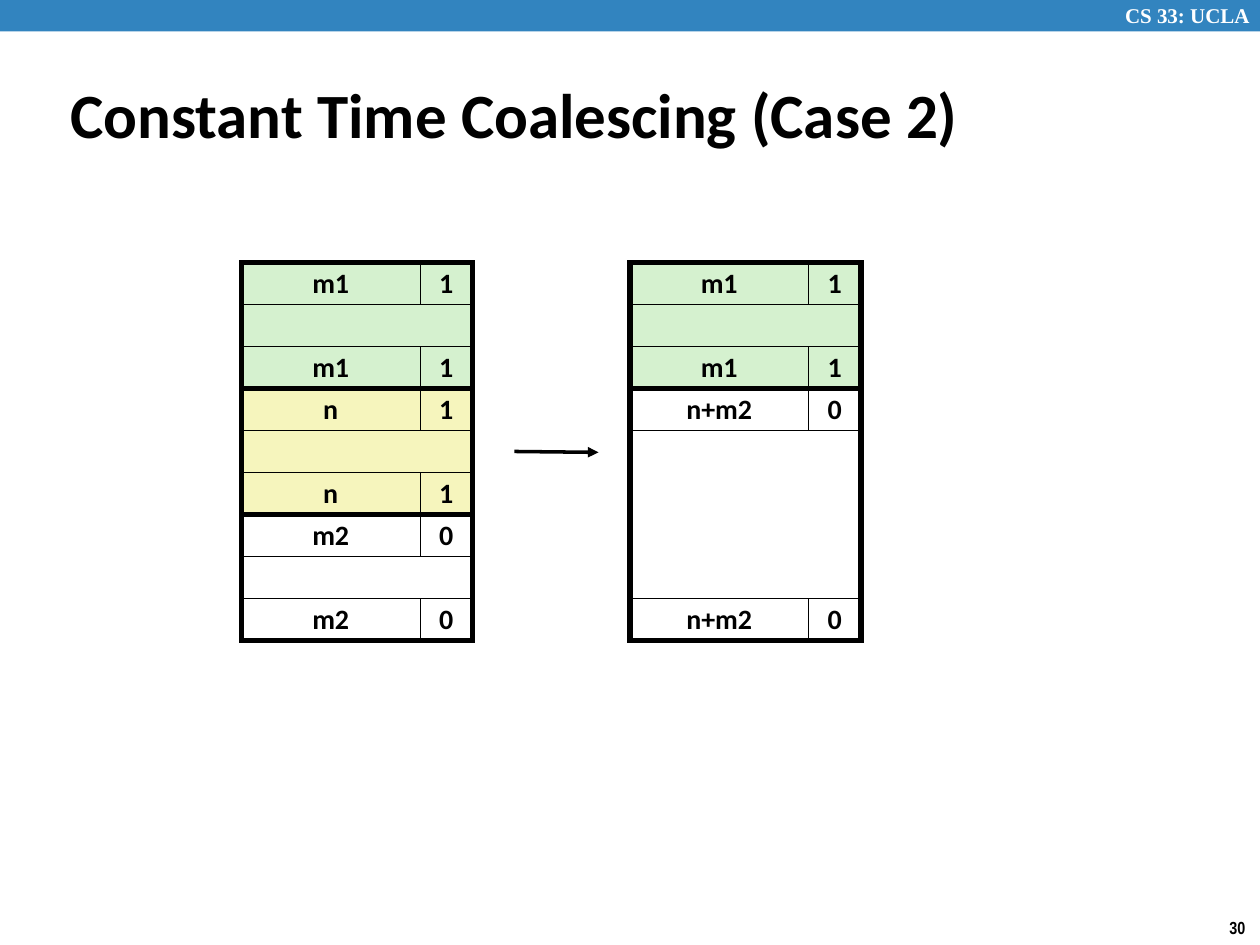
from dataclasses import dataclass

from lxml import etree
from pptx import Presentation
from pptx.dml.color import RGBColor
from pptx.enum.shapes import MSO_CONNECTOR, MSO_SHAPE
from pptx.enum.text import MSO_ANCHOR, MSO_AUTO_SIZE, PP_ALIGN
from pptx.oxml.ns import qn
from pptx.util import Pt

RECTANGLE = MSO_SHAPE.RECTANGLE
STRAIGHT = MSO_CONNECTOR.STRAIGHT
MIDDLE = MSO_ANCHOR.MIDDLE
LEFT, CENTER = PP_ALIGN.LEFT, PP_ALIGN.CENTER
NO_AUTOFIT = MSO_AUTO_SIZE.NONE


@dataclass(frozen=True)
class Theme:
    banner: RGBColor = RGBColor(0x32, 0x84, 0xBF)
    allocated: RGBColor = RGBColor(0xD5, 0xF1, 0xCF)
    freed: RGBColor = RGBColor(0xF6, 0xF5, 0xBD)
    white: RGBColor = RGBColor(0xFF, 0xFF, 0xFF)
    black: RGBColor = RGBColor(0, 0, 0)
    body_font: str = "Calibri"
    course_font: str = "Times New Roman"
    number_font: str = "Arial Narrow"
    title_size: int = 36
    cell_size: int = 16
    course_size: int = 12
    number_size: int = 10
    thin: float = 0.25
    arrow: float = 2
    thick: float = 3


theme = Theme()


def add_box(left, top, width, height, fill=None, line_width=None):
    box = slide.shapes.add_shape(RECTANGLE, Pt(left), Pt(top), Pt(width), Pt(height))
    box.shadow.inherit = False
    if fill is None:
        box.fill.background()
    else:
        box.fill.solid()
        box.fill.fore_color.rgb = fill
    if line_width is None:
        box.line.fill.background()
    else:
        box.line.color.rgb = theme.black
        box.line.width = Pt(line_width)
        etree.SubElement(box.line._get_or_add_ln(), qn("a:miter"), lim="800000")
    return box


def write(shape, text, font, size, color, align=LEFT, wrap=False):
    frame = shape.text_frame
    frame.auto_size = NO_AUTOFIT
    frame.word_wrap = wrap
    paragraph = frame.paragraphs[0]
    paragraph.alignment = align
    run = paragraph.add_run()
    run.text = text
    run.font.name = font
    run.font.size = Pt(size)
    run.font.bold = True
    run.font.color.rgb = color
    return frame


deck = Presentation()
deck.slide_width, deck.slide_height = Pt(720), Pt(540)
slide = deck.slides.add_slide(deck.slide_layouts[5])

add_box(0, 0, 720, 18, theme.banner)
course = slide.shapes.add_textbox(Pt(635.8), Pt(-2), Pt(89), Pt(22))
write(course, "CS 33: UCLA", theme.course_font, theme.course_size, theme.white, wrap=True)
page = slide.shapes.add_textbox(Pt(695.5), Pt(520.5), Pt(24.5), Pt(19.5))
write(page, "30", theme.number_font, theme.number_size, theme.black)

title = slide.shapes.title
title.left, title.top, title.width, title.height = Pt(33), Pt(42), Pt(654), Pt(45)
title_frame = write(title, "Constant Time Coalescing (Case 2)", theme.body_font,
                    theme.title_size, theme.black, wrap=True)
title_frame.vertical_anchor = MIDDLE

ROW, SIZE_WIDTH, FLAG_WIDTH, HEAP_TOP = 24, 102, 30, 150
BLOCK_WIDTH = SIZE_WIDTH + FLAG_WIDTH
heaps = [
    (138, [("m1", "1", theme.allocated, 3),
           ("n", "1", theme.freed, 3),
           ("m2", "0", theme.white, 3)]),
    (360, [("m1", "1", theme.allocated, 3),
           ("n+m2", "0", theme.white, 6)]),
]
for left, blocks in heaps:
    top = HEAP_TOP
    for size, flag, color, rows in blocks:
        height = rows * ROW
        for tag_top in (top, top + height - ROW):
            for text, x, width in ((size, left, SIZE_WIDTH),
                                   (flag, left + SIZE_WIDTH, FLAG_WIDTH)):
                cell = add_box(x, tag_top, width, ROW, color, theme.thin)
                frame = write(cell, text, theme.body_font, theme.cell_size,
                              theme.black, CENTER)
                frame.vertical_anchor = MIDDLE
                frame.paragraphs[0].line_spacing = 0.98
        add_box(left, top + ROW, BLOCK_WIDTH, height - 2 * ROW, color, theme.thin)
        add_box(left, top, BLOCK_WIDTH, height, line_width=theme.thick)
        top += height

arrow = slide.shapes.add_connector(STRAIGHT, Pt(294), Pt(258), Pt(342), Pt(258.5))
arrow.line.color.rgb = theme.black
arrow.line.width = Pt(theme.arrow)
etree.SubElement(arrow.line._get_or_add_ln(), qn("a:tailEnd"), type="triangle")
etree.SubElement(arrow._element.spPr, qn("a:effectLst"))

deck.save("out.pptx")
